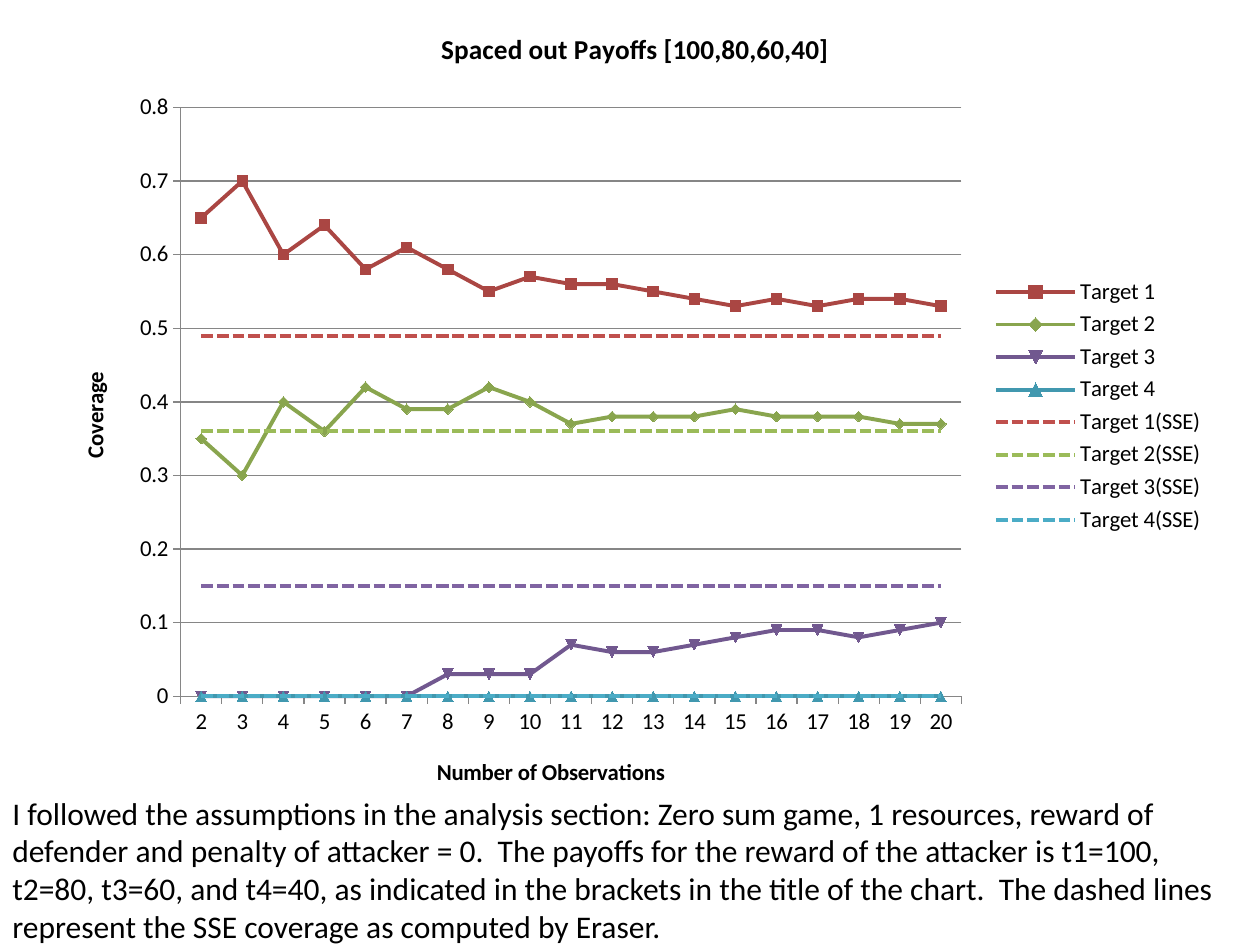
from lxml import etree
from pptx import Presentation
from pptx.chart.data import CategoryChartData
from pptx.dml.color import RGBColor
from pptx.enum import chart as chart_enum, dml, text
from pptx.oxml import ns
from pptx.util import Pt

FONT = "Calibri"
BLACK = RGBColor(0, 0, 0)
GREY = RGBColor(0x86, 0x86, 0x86)
OBSERVED_COLORS = [RGBColor(0xAA, 0x46, 0x43), RGBColor(0x89, 0xA5, 0x4E),
                   RGBColor(0x71, 0x58, 0x8F), RGBColor(0x41, 0x98, 0xAF)]
SSE_COLORS = [RGBColor(0xC0, 0x50, 0x4D), RGBColor(0x9B, 0xBB, 0x59),
              RGBColor(0x80, 0x64, 0xA2), RGBColor(0x4B, 0xAC, 0xC6)]

OBSERVATIONS = range(2, 21)
COVERAGE = [
    [0.65, 0.7, 0.6, 0.64, 0.58, 0.61, 0.58, 0.55, 0.57, 0.56,
     0.56, 0.55, 0.54, 0.53, 0.54, 0.53, 0.54, 0.54, 0.53],
    [0.35, 0.3, 0.4, 0.36, 0.42, 0.39, 0.39, 0.42, 0.4, 0.37,
     0.38, 0.38, 0.38, 0.39, 0.38, 0.38, 0.38, 0.37, 0.37],
    [0, 0, 0, 0, 0, 0, 0.03, 0.03, 0.03, 0.07,
     0.06, 0.06, 0.07, 0.08, 0.09, 0.09, 0.08, 0.09, 0.1],
    [0] * len(OBSERVATIONS),
]
SSE_COVERAGE = [0.49, 0.36, 0.15, 0]
EXPLANATION = (
    "I followed the assumptions in the analysis section: Zero sum game, "
    "1 resources, reward of defender and penalty of attacker = 0.  The payoffs "
    "for the reward of the attacker is t1=100, t2=80, t3=60, and t4=40, as "
    "indicated in the brackets in the title of the chart.  The dashed lines "
    "represent the SSE coverage as computed by Eraser."
)


def format_font(font, size, bold=False):
    font.name, font.size, font.bold = FONT, Pt(size), bold
    font.color.rgb = BLACK


def set_title(owner, words, size):
    """Give a chart or an axis a bold title."""
    frame = (owner.chart_title if hasattr(owner, "chart_title")
             else owner.axis_title).text_frame
    frame.text = words
    format_font(frame.paragraphs[0].runs[0].font, size, bold=True)


def set_plot_area(chart, x, y, w, h):
    """Fix the inner plot area, as fractions of the chart."""
    plot_area = chart.plots[0]._element.getparent()
    for old in plot_area.findall(ns.qn("c:layout")):
        plot_area.remove(old)
    layout = etree.Element(ns.qn("c:layout"))
    manual = etree.SubElement(layout, ns.qn("c:manualLayout"))
    values = dict(layoutTarget="inner", xMode="edge", yMode="edge", x=x, y=y, w=w, h=h)
    for name, value in values.items():
        etree.SubElement(manual, ns.qn("c:" + name)).set("val", str(value))
    plot_area.insert(0, layout)


def format_series(series, color, dashed):
    series.smooth = False
    line = series.format.line
    line.color.rgb = color
    line.width = Pt(2.25)
    if dashed:
        line.dash_style = dml.MSO_LINE.SQUARE_DOT
        series.marker.style = chart_enum.XL_MARKER_STYLE.NONE
    else:
        series.marker.size = 6
        series.marker.format.fill.solid()
        series.marker.format.fill.fore_color.rgb = color
        series.marker.format.line.color.rgb = color


def add_coverage_chart(slide, left, top, width, height):
    data = CategoryChartData()
    data.categories = [str(count) for count in OBSERVATIONS]
    for number, values in enumerate(COVERAGE, 1):
        data.add_series(f"Target {number}", values)
    for number, value in enumerate(SSE_COVERAGE, 1):
        data.add_series(f"Target {number}(SSE)", [value] * len(OBSERVATIONS))
    chart = slide.shapes.add_chart(
        chart_enum.XL_CHART_TYPE.LINE_MARKERS,
        Pt(left), Pt(top), Pt(width), Pt(height), data).chart
    format_font(chart.font, 13)
    set_title(chart, "Spaced out Payoffs [100,80,60,40]", 15.6)
    chart.chart_title.include_in_layout = False
    set_plot_area(chart, 0.11, 0.13, 0.67, 0.73)

    # Axes
    value_axis, category_axis = chart.value_axis, chart.category_axis
    set_title(category_axis, "Number of Observations", 13)
    set_title(value_axis, "Coverage", 13)
    value_axis.minimum_scale, value_axis.maximum_scale = 0, 0.8
    value_axis.major_unit = 0.1
    value_axis.tick_labels.number_format = "General"
    value_axis.tick_labels.number_format_is_linked = False
    value_axis.has_major_gridlines = True
    for part in (value_axis, category_axis, value_axis.major_gridlines):
        part.format.line.color.rgb = GREY
        part.format.line.width = Pt(0.75)
    for axis in (value_axis, category_axis):
        axis.major_tick_mark = chart_enum.XL_TICK_MARK.OUTSIDE

    # Legend
    chart.has_legend = True
    chart.legend.position = chart_enum.XL_LEGEND_POSITION.RIGHT
    chart.legend.include_in_layout = False
    format_font(chart.legend.font, 13)

    # Solid observed lines, then dashed SSE lines
    for index, series in enumerate(chart.plots[0].series):
        format_series(series, (OBSERVED_COLORS + SSE_COLORS)[index],
                      dashed=index >= len(COVERAGE))


def add_explanation(slide, left, top, width, height):
    frame = slide.shapes.add_textbox(
        Pt(left), Pt(top), Pt(width), Pt(height)).text_frame
    frame.word_wrap = True
    frame.auto_size = text.MSO_AUTO_SIZE.SHAPE_TO_FIT_TEXT
    frame.text = EXPLANATION
    format_font(frame.paragraphs[0].runs[0].font, 18)


def main():
    presentation = Presentation()
    presentation.slide_width, presentation.slide_height = Pt(720), Pt(540)
    slide = presentation.slides.add_slide(presentation.slide_layouts[6])
    add_coverage_chart(slide, 30, 1.5, 666, 461)
    add_explanation(slide, 0, 450, 714, 94.5)
    presentation.save("out.pptx")


if __name__ == "__main__":
    main()
